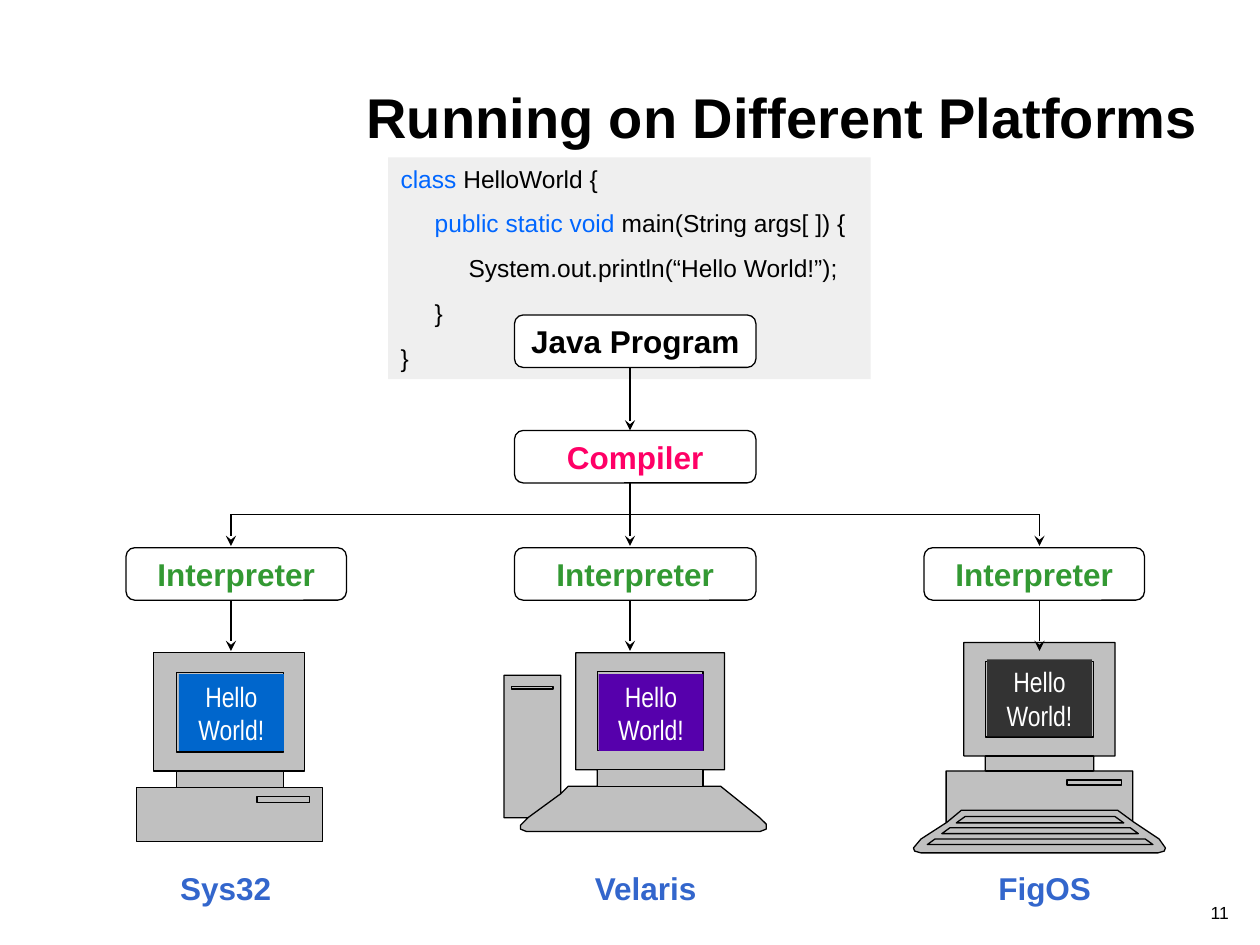
from dataclasses import dataclass

from lxml.etree import SubElement
from pptx import Presentation
from pptx.dml.color import RGBColor
from pptx.enum.shapes import MSO_CONNECTOR, MSO_SHAPE
from pptx.enum.text import MSO_ANCHOR, PP_ALIGN
from pptx.oxml.ns import qn
from pptx.util import Pt


@dataclass(frozen=True)
class Theme:
    """Colours, fonts and type sizes of the slide."""
    black: str = "000000"
    white: str = "FFFFFF"
    gray: str = "C0C0C0"
    keyword: str = "0066FF"
    compiler: str = "FF0066"
    interpreter: str = "339933"
    platform: str = "3366CC"
    font: str = "Arial"
    narrow: str = "Arial Narrow"
    title_size: float = 32
    label_size: float = 18
    screen_size: float = 16
    code_size: float = 14
    number_size: float = 10
    line_width: float = 0.75


@dataclass(frozen=True)
class Platform:
    """One column: interpreter, computer and platform name."""
    name: str
    arrow_x: float
    box: tuple
    label: tuple
    screen: tuple
    screen_color: str
    outline: list
    panels: list
    strokes: list


THEME = Theme()

CODE = [
    [("class", THEME.keyword), (" HelloWorld {", THEME.black)],
    [("     ", THEME.black), ("public static void", THEME.keyword),
     (" main(String args[ ]) {", THEME.black)],
    [("          System.out.println(“Hello World!”);", THEME.black)],
    [("     }", THEME.black)],
    [("}", THEME.black)],
]

KEY_ROWS = [
    [(642.2 + 8.3 * row, 470.2 + 6.2 * row), (637.2 + 8.6 * row, 466.6 + 6.4 * row),
     (551.5 - 8.6 * row, 466.6 + 6.4 * row), (546.5 - 8.3 * row, 470.2 + 6.2 * row),
     (642.2 + 8.3 * row, 470.2 + 6.2 * row)]
    for row in range(3)
]

PLATFORMS = [
    Platform(
        "Sys32", 132, (72, 126), (77.8, 102.2), (102.2, 385.2), "0066CC",
        [(162, 450), (162, 440.6), (174.2, 440.6), (174.2, 373), (87.8, 373),
         (87.8, 440.6), (100.8, 440.6), (100.8, 450), (77.8, 450), (77.8, 481),
         (184.3, 481), (184.3, 450)],
        [(100.8, 440.6, 61.2, 9.4), (100.8, 384.5, 61.2, 45.3),
         (146.9, 455, 30.2, 3.6)],
        []),
    Platform(
        "Velaris", 360, (294, 138), (300, 138), (342, 385.2), "5600AC",
        [(288, 385.9), (320.4, 385.9), (320.4, 453.6), (324.7, 449.3),
         (341.3, 449.3), (341.3, 439.9), (329, 439.9), (329, 373), (414, 373),
         (414, 439.9), (401.8, 439.9), (401.8, 449.3), (411.8, 449.3),
         (434.2, 467.3), (437.8, 470.9), (437.8, 473.8), (434.2, 475.2),
         (301, 475.2), (297.4, 473.8), (297.4, 471.6), (301.7, 467.3),
         (288, 467.3)],
        [(341.3, 439.9, 60.5, 9.4), (341.3, 383.8, 60.5, 45.3),
         (292.3, 392.4, 23.8, 1.4)],
        [[(301.7, 467.3), (320.4, 453.6)]]),
    Platform(
        "FigOS", 594, (528, 126), (528, 138), (564, 376.8), "333333",
        [(662.4, 479.5), (647.3, 469.4), (647.3, 440.6), (625, 440.6), (625, 432),
         (637.2, 432), (637.2, 367.2), (550.8, 367.2), (550.8, 432), (563, 432),
         (563, 440.6), (540.7, 440.6), (540.7, 470.2), (526.3, 479.5),
         (522, 484.6), (522.7, 486.4), (526.3, 487.4), (661.7, 487.4),
         (665.3, 486.4), (666, 484.6)],
        [(563, 432, 62, 8.6), (563, 378, 62, 43.2), (609.8, 445.7, 31, 2.9)],
        [[(540.7, 470.2), (549.4, 463), (638.6, 463), (647.3, 469.4)], *KEY_ROWS]),
]


def apply(target, values):
    """Set every attribute named in a dict of format values."""
    for name, value in values.items():
        setattr(target, name, value)


def write(shape, paragraphs, size, font=THEME.font, bold=False, frame=None, layout=None):
    """Write paragraphs of coloured runs into a shape."""
    text_frame = shape.text_frame
    apply(text_frame, {"word_wrap": True, **(frame or {})})
    for index, runs in enumerate(paragraphs):
        paragraph = text_frame.paragraphs[0] if index == 0 else text_frame.add_paragraph()
        apply(paragraph, {"alignment": PP_ALIGN.CENTER, **(layout or {})})
        if index == 0:
            paragraph.space_before = Pt(0)
        for text, color in runs:
            run = paragraph.add_run()
            run.text = text
            apply(run.font, {"name": font, "size": Pt(size), "bold": bold})
            run.font.color.rgb = RGBColor.from_string(color)


def paint(shape, fill=None, line=None):
    """Give a shape a plain fill and line, without shadow."""
    shape.shadow.inherit = False
    if fill:
        shape.fill.solid()
        shape.fill.fore_color.rgb = RGBColor.from_string(fill)
    else:
        shape.fill.background()
    if line:
        shape.line.color.rgb = RGBColor.from_string(line)
        shape.line.width = Pt(THEME.line_width)
    else:
        shape.line.fill.background()


def add_box(slide, kind, bounds, fill=None, line=None):
    """Add a painted preset shape at bounds in points."""
    shape = slide.shapes.add_shape(kind, *map(Pt, bounds))
    paint(shape, fill, line)
    return shape


def add_text(slide, bounds, text, color, size, bold=False, frame=None, layout=None):
    """Add a text box with one line of text."""
    shape = slide.shapes.add_textbox(*map(Pt, bounds))
    write(shape, [[(text, color)]], size, bold=bold, frame=frame, layout=layout)


def add_step(slide, left, top, width, text, color):
    """Add a rounded box naming a step of the flow."""
    shape = add_box(slide, MSO_SHAPE.ROUNDED_RECTANGLE, (left, top, width, 30),
                    THEME.white, THEME.black)
    write(shape, [[(text, color)]], THEME.label_size, bold=True,
          frame={"word_wrap": False, "vertical_anchor": MSO_ANCHOR.MIDDLE})


def add_line(slide, start, end, arrow=False):
    """Add a straight line, with an arrowhead at its end if asked."""
    connector = slide.shapes.add_connector(MSO_CONNECTOR.STRAIGHT, *map(Pt, start + end))
    connector.line.color.rgb = RGBColor.from_string(THEME.black)
    connector.line.width = Pt(THEME.line_width)
    if arrow:
        SubElement(connector.line._get_or_add_ln(), qn("a:tailEnd"), type="stealth")
    SubElement(connector._element.spPr, qn("a:effectLst"))


def add_outline(slide, points, fill=None, close=False):
    """Add a freeform through points."""
    first, *others = [(Pt(x), Pt(y)) for x, y in points]
    builder = slide.shapes.build_freeform(*first)
    builder.add_line_segments(others, close=close)
    paint(builder.convert_to_shape(), fill, THEME.black)


def add_title(slide):
    """Place and format the title."""
    title = slide.shapes.title
    apply(title, {"left": Pt(50.4), "top": Pt(2.9), "width": Pt(641.5), "height": Pt(86.4)})
    write(title, [[("Running on Different Platforms", THEME.black)]], THEME.title_size,
          bold=True, frame={"vertical_anchor": MSO_ANCHOR.BOTTOM},
          layout={"alignment": PP_ALIGN.RIGHT})


def add_code(slide):
    """Add the program listing on a pale panel."""
    panel = add_box(slide, MSO_SHAPE.RECTANGLE, (221.8, 90, 275.8, 126.7), THEME.gray)
    color = panel._element.spPr.find(qn("a:solidFill"))[0]
    SubElement(color, qn("a:alpha"), val="25000")
    write(panel, CODE, THEME.code_size, frame={"vertical_anchor": MSO_ANCHOR.TOP},
          layout={"alignment": PP_ALIGN.LEFT, "space_before": Pt(8.8)})


def add_platform(slide, platform):
    """Add one column from the interpreter down to the platform name."""
    add_outline(slide, platform.outline, THEME.gray, close=True)
    for panel in platform.panels:
        add_box(slide, MSO_SHAPE.RECTANGLE, panel, THEME.gray, THEME.black)
    for stroke in platform.strokes:
        add_outline(slide, stroke)
    screen = add_box(slide, MSO_SHAPE.RECTANGLE, (*platform.screen, 60, 44),
                     platform.screen_color)
    write(screen, [[("Hello World!", THEME.white)]], THEME.screen_size, THEME.narrow,
          frame={"vertical_anchor": MSO_ANCHOR.TOP, "margin_left": 0, "margin_right": 0,
                 "margin_top": Pt(3), "margin_bottom": Pt(3)})
    left, width = platform.label
    add_text(slide, (left, 493.2, width, 28.8), platform.name, THEME.platform,
             THEME.label_size, bold=True)
    add_line(slide, (platform.arrow_x, 342), (platform.arrow_x, 372), arrow=True)
    left, width = platform.box
    add_step(slide, left, 313, width, "Interpreter", THEME.interpreter)


def add_branches(slide, center):
    """Connect the compiler to every interpreter."""
    for platform in PLATFORMS:
        x = platform.arrow_x
        add_line(slide, (x, 276 if x == center else 294), (x, 312), arrow=True)
        if x != center:
            add_line(slide, (min(x, center), 294), (max(x, center), 294))


def main():
    """Build and save the slide."""
    presentation = Presentation()
    apply(presentation, {"slide_width": Pt(720), "slide_height": Pt(540)})
    slide = presentation.slides.add_slide(presentation.slide_layouts[5])
    center = PLATFORMS[1].arrow_x
    add_text(slide, (576, 509.8, 133.2, 20.9), "11", THEME.black, THEME.number_size,
             frame={"vertical_anchor": MSO_ANCHOR.BOTTOM},
             layout={"alignment": PP_ALIGN.RIGHT, "line_spacing": 0.8})
    add_title(slide)
    add_code(slide)
    add_step(slide, 294, 180, 138, "Java Program", THEME.black)
    add_step(slide, 294, 246, 138, "Compiler", THEME.compiler)
    add_line(slide, (center, 210), (center, 246), arrow=True)
    for platform in PLATFORMS:
        add_platform(slide, platform)
    add_branches(slide, center)
    presentation.save("out.pptx")


if __name__ == "__main__":
    main()
